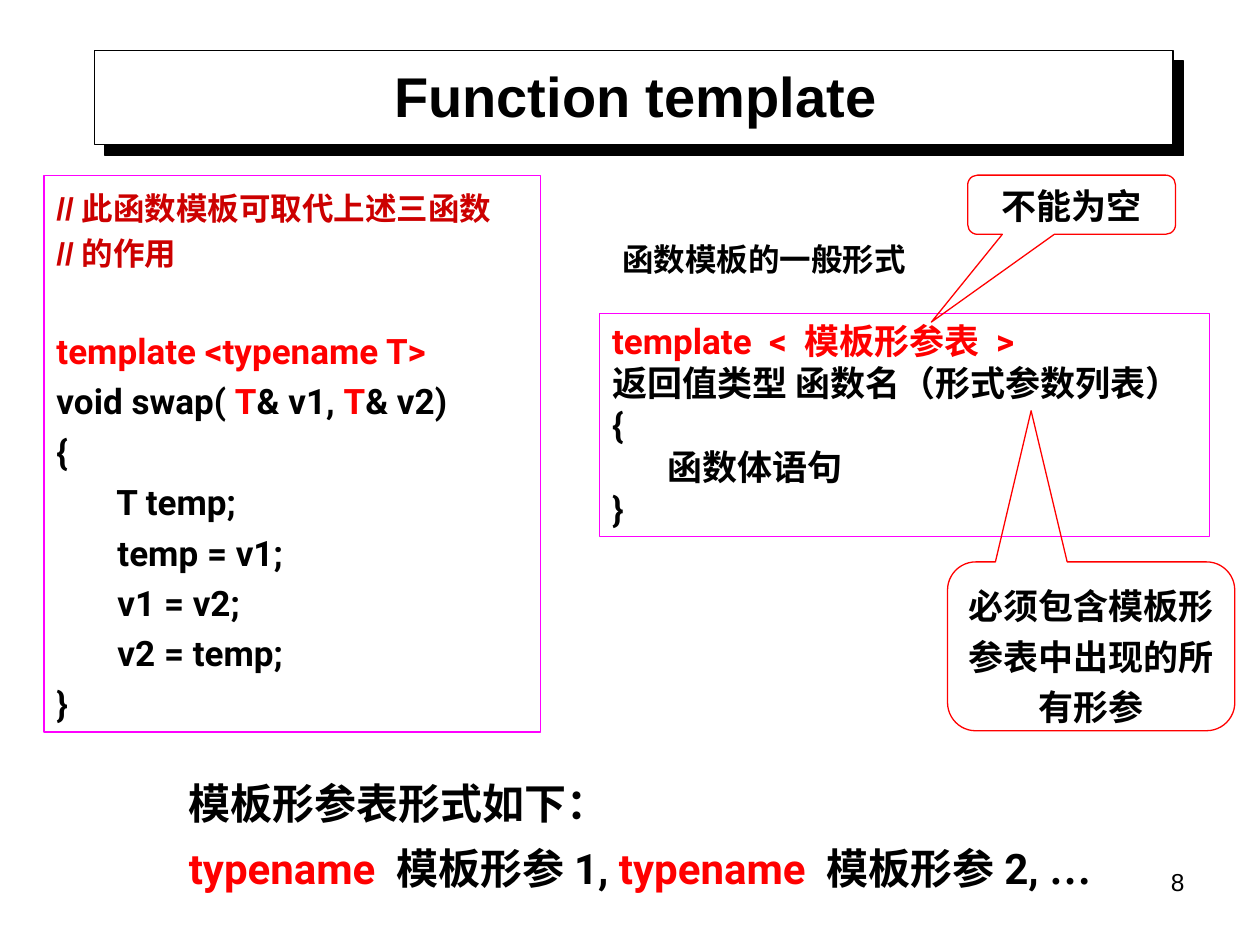
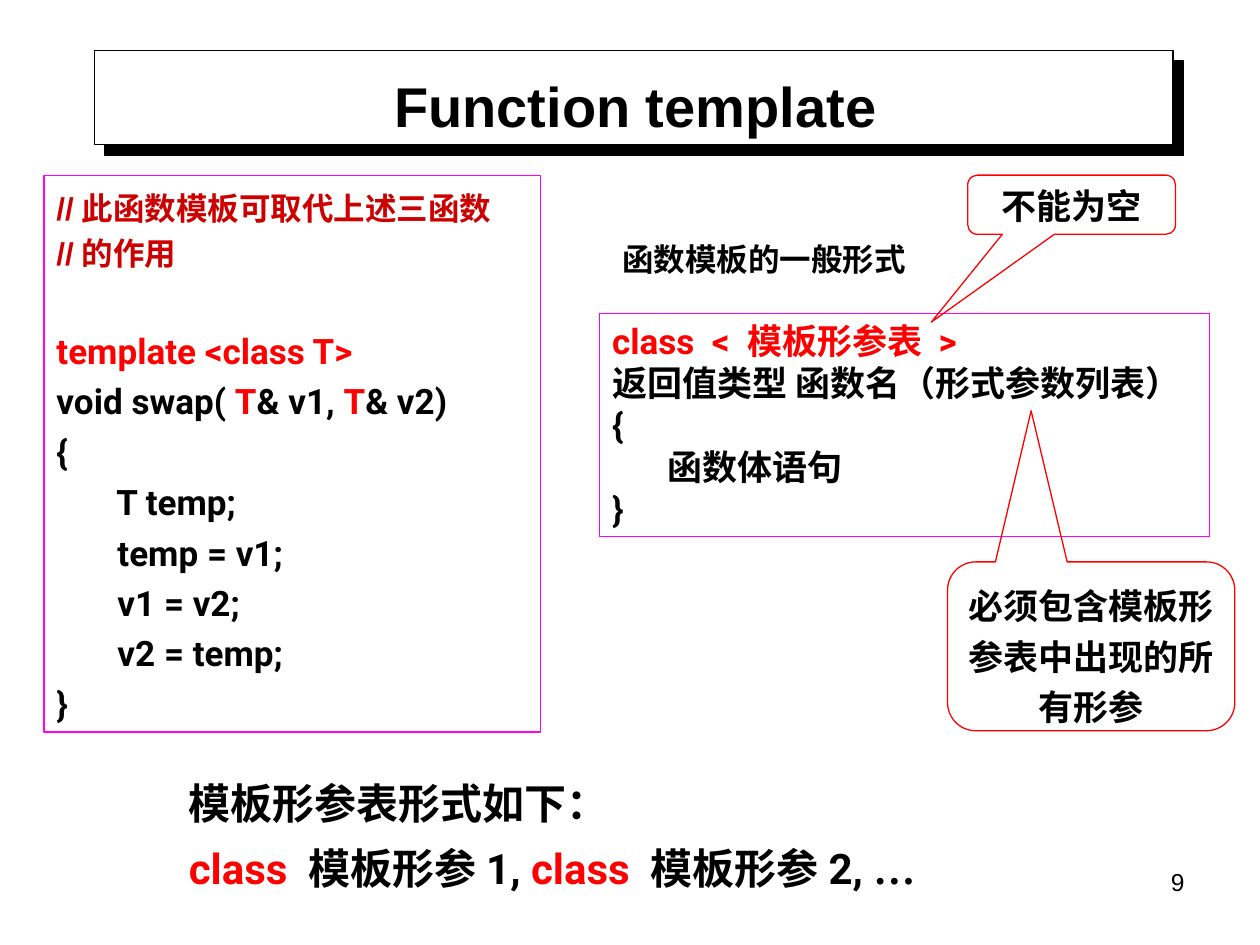
from lxml import etree
from pptx import Presentation
from pptx import util as u
from pptx.dml.color import RGBColor
from pptx.enum import shapes, text
from pptx.oxml.ns import qn

BLACK, RED, DARK_RED, MAGENTA = "000000", "FF0000", "CC0000", "FF00FF"
RECT = shapes.MSO_SHAPE.RECTANGLE
CALLOUT = shapes.MSO_SHAPE.ROUNDED_RECTANGULAR_CALLOUT
LEFT, CENTER, RIGHT = text.PP_ALIGN.LEFT, text.PP_ALIGN.CENTER, text.PP_ALIGN.RIGHT
rgb = RGBColor.from_string


def add_shape(s, kind, at, line):
    """Add an unfilled outlined shape."""
    sp = s.shapes.add_shape(kind, *map(u.Inches, at))
    sp.shadow.inherit = False
    sp.fill.background()
    sp.line.color.rgb = rgb(line)
    sp.line.width = u.Pt(0.75)
    return sp


def write(sp, lines, size, font="Roboto", bold=True, align=LEFT, spacing=1.0):
    """Fill a shape with lines; each line is a list of (text, colour) runs."""
    tf = sp.text_frame
    tf.word_wrap = True
    tf.vertical_anchor = text.MSO_ANCHOR.TOP
    for i, runs in enumerate(lines):
        p = tf.add_paragraph() if i else tf.paragraphs[0]
        p.alignment, p.line_spacing = align, spacing
        p.font.size, p.font.name, p.font.bold = u.Pt(size), font, bold
        for words, colour in runs:
            r = p.add_run()
            r.text = words
            r.font.color.rgb = rgb(colour)
    return tf


prs = Presentation()
prs.slide_width, prs.slide_height = u.Inches(10), u.Inches(7.5)

# Slide number, keyword inside the angle brackets, keyword of the general form, title top
slides = [
    (8, "typename", "template", 0.44),
    (9, "class", "class", 0.52),
]

for number, keyword, form_keyword, title_top in slides:
    s = prs.slides.add_slide(prs.slide_layouts[6])

    # Title band with a hard shadow
    band = add_shape(s, RECT, (0.75, 0.4, 8.56, 0.75), BLACK)
    band.fill.solid()
    band.fill.fore_color.rgb = rgb("FFFFFF")
    effects = band._element.spPr.find(qn("a:effectLst"))
    shadow = etree.SubElement(effects, qn("a:outerShdw"), blurRad="0",
                              dist=str(u.Pt(8.5)), dir="2700000", algn="ctr", rotWithShape="0")
    etree.SubElement(shadow, qn("a:srgbClr"), val=BLACK)

    # Slide number
    sp = s.shapes.add_textbox(*map(u.Inches, (7.17, 6.83, 2.33, 0.52)))
    write(sp, [[(str(number), BLACK)]], 14, "Arial", bold=False, align=RIGHT)

    # Swap example
    sp = add_shape(s, RECT, (0.35, 1.39, 3.94, 4.42), MAGENTA)
    body = ["{", "       T temp;", "       temp = v1;", "       v1 = v2;", "       v2 = temp;", "}"]
    code = [
        [("//此函数模板可取代上述三函数", DARK_RED)],
        [("//的作用", DARK_RED)],
        [(f"template <{keyword} T>", RED)],
        [("void swap( ", BLACK), ("T", RED), ("& v1, ", BLACK), ("T", RED), ("& v2)", BLACK)],
        *[[(line, BLACK)] for line in body],
    ]
    tf = write(sp, code, 20, spacing=1.2)
    for p in tf.paragraphs[:2]:
        p.font.size, p.font.name = u.Pt(18), "Arial"
    tf.paragraphs[2].space_before = u.Pt(28)

    # Parameter list syntax
    sp = s.shapes.add_textbox(*map(u.Inches, (0.9, 6, 8.19, 1.14)))
    syntax = [
        [("模板形参表形式如下：", BLACK)],
        [(f"{keyword} ", RED), ("模板形参1, ", BLACK),
         (f"{keyword} ", RED), ("模板形参2, ", BLACK), ("…", BLACK)],
    ]
    tf = write(sp, syntax, 24, spacing=1.3)
    for p in tf.paragraphs:
        p.level = 1
        pPr = p._p.get_or_add_pPr()
        pPr.set("marL", str(u.Inches(0.5)))
        pPr.set("indent", "0")
    tf.paragraphs[1].runs[-1].font.name = "Times New Roman"

    # Title
    sp = s.shapes.add_textbox(*map(u.Inches, (0.83, title_top, 8.43, 0.63)))
    tf = write(sp, [[("Function template", BLACK)]], 32, "Arial", align=CENTER)
    tf.vertical_anchor = text.MSO_ANCHOR.MIDDLE

    # General form
    sp = add_shape(s, RECT, (4.76, 2.49, 4.84, 1.77), MAGENTA)
    form = ["返回值类型 函数名（形式参数列表）", "{", "       函数体语句", "}"]
    write(sp, [[(f"{form_keyword}  < 模板形参表 >", RED)], *[[(line, BLACK)] for line in form]], 20)

    # Callouts pointing at the form
    callouts = [
        ((7.68, 1.39, 1.65, 0.47), (-0.675, 1.982), "不能为空", 1.0),
        ((7.52, 4.46, 2.28, 1.34), (-0.209, -1.395), "必须包含模板形参表中出现的所有形参", 1.2),
    ]
    for at, (tip_x, tip_y), note, spacing in callouts:
        sp = add_shape(s, CALLOUT, at, RED)
        sp.adjustments[0], sp.adjustments[1], sp.adjustments[2] = tip_x, tip_y, 0.167
        write(sp, [[(note, BLACK)]], 20, align=CENTER, spacing=spacing)

    # Heading of the general form
    sp = s.shapes.add_textbox(*map(u.Inches, (4.84, 1.86, 2.52, 0.4)))
    write(sp, [[("函数模板的一般形式", BLACK)]], 18, "Arial")

prs.save("out.pptx")
